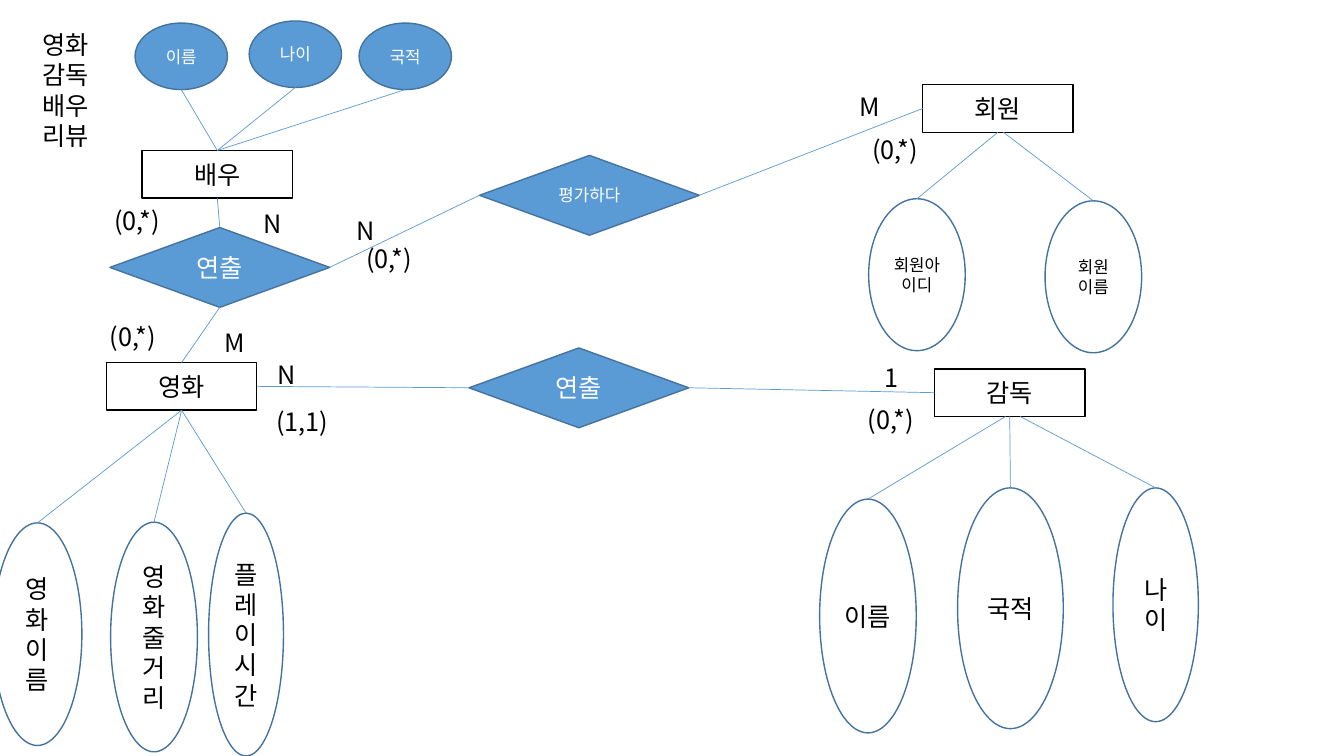
import pptx
import pptx.util
import pptx.dml.color
import pptx.enum.shapes
import pptx.enum.text
import lxml.etree

Pt = pptx.util.Pt
RGB = pptx.dml.color.RGBColor.from_string
Shape = pptx.enum.shapes.MSO_SHAPE
Align = pptx.enum.text.PP_ALIGN
Anchor = pptx.enum.text.MSO_ANCHOR

theme = {
    "font": "Noto Sans CJK KR", "large": 18, "small": 12, "leading": 1.2,
    "black": "000000", "white": "FFFFFF", "blue": "5B9BD5", "edge": "43739E",
}

deck = pptx.Presentation()
deck.slide_width, deck.slide_height = Pt(960), Pt(540)
slide = deck.slides.add_slide(deck.slide_layouts[6])
drawing = "{http://schemas.openxmlformats.org/drawingml/2006/main}"


def write(holder, lines, size, color, align):
    frame = holder.text_frame
    frame.word_wrap = True
    frame.text = "\n".join(lines)
    for paragraph in frame.paragraphs:
        paragraph.alignment = align
        paragraph.line_spacing = Pt(size * theme["leading"])
        run = paragraph.runs[0]
        formats = {"name": theme["font"], "size": Pt(size)}
        for key, value in formats.items():
            setattr(run.font, key, value)
        run.font.color.rgb = RGB(color)
        east_asian = lxml.etree.SubElement(run.font._element, drawing + "ea")
        east_asian.set("typeface", theme["font"])


def side_point(node, side):
    across, down = {"top": (0.5, 0), "bottom": (0.5, 1), "left": (0, 0.5), "right": (1, 0.5)}[side]
    return node.left + int(node.width * across), node.top + int(node.height * down)


styles = {
    "entity": (Shape.RECTANGLE, None, "black", "black"),
    "relation": (Shape.DIAMOND, "blue", "edge", "white"),
    "attribute": (Shape.OVAL, None, "edge", "black"),
    "filled attribute": (Shape.OVAL, "blue", "edge", "white"),
}
box, rhombus, actor_oval, member_oval = (107.5, 34), (157, 57), (66, 47.5), (69, 108.5)
nodes = {
    "movie": ("entity", "영화", "large", (76, 259), box),
    "movie name": ("attribute", "영화이름", "large", (-5, 373.5), (63.5, 159)),
    "movie plot": ("attribute", "영화줄거리", "large", (79, 373), (62, 164)),
    "movie length": ("attribute", "플레이시간", "large", (149, 366.5), (53.5, 173.5)),
    "director": ("entity", "감독", "large", (667.5, 263.5), box),
    "director name": ("attribute", "이름", "large", (585.5, 356.5), (69, 167)),
    "director nation": ("attribute", "국적", "large", (684, 348.5), (75.5, 172)),
    "director age": ("attribute", "나이", "large", (795, 348.5), (61, 167)),
    "directs": ("relation", "연출", "large", (335, 248.5), rhombus),
    "performs": ("relation", "연출", "large", (78.5, 162.5), rhombus),
    "actor": ("entity", "배우", "large", (101.5, 107.5), box),
    "actor name": ("filled attribute", "이름", "small", (96.5, 16.5), actor_oval),
    "actor nation": ("filled attribute", "국적", "small", (256.5, 16.5), actor_oval),
    "actor age": ("filled attribute", "나이", "small", (178, 15), actor_oval),
    "rates": ("relation", "평가하다", "small", (342.5, 111), rhombus),
    "member": ("entity", "회원", "large", (659, 60.5), box),
    "member id": ("attribute", "회원아이디", "small", (620.5, 142), member_oval),
    "member name": ("attribute", "회원 이름", "small", (746.5, 143.5), member_oval),
}
drawn = {}
for key, (style, wording, size, place, extent) in nodes.items():
    preset, fill, edge, ink = styles[style]
    node = slide.shapes.add_shape(preset, *map(Pt, place + extent))
    node.shadow.inherit = False
    if fill:
        node.fill.solid()
        node.fill.fore_color.rgb = RGB(theme[fill])
    else:
        node.fill.background()
    node.line.color.rgb = RGB(theme[edge])
    node.line.width = Pt(1)
    node.text_frame.vertical_anchor = Anchor.MIDDLE
    write(node, [wording], theme[size], theme[ink], Align.CENTER)
    drawn[key] = node

links = [
    ("movie", "bottom", "movie name", "top", 0),
    ("movie", "bottom", "movie plot", "top", 0),
    ("movie", "bottom", "movie length", "top", 0),
    ("director", "bottom", "director name", "top", -3),
    ("director", "bottom", "director nation", "top", 0),
    ("director", "bottom", "director age", "top", 7.5),
    ("movie", "right", "directs", "left", 0),
    ("director", "left", "directs", "right", 0),
    ("actor", "top", "actor name", "bottom", 0),
    ("actor", "top", "actor age", "bottom", 0),
    ("actor", "top", "actor nation", "bottom", 0),
    ("actor", "bottom", "performs", "top", 0),
    ("movie", "top", "performs", "bottom", 0),
    ("rates", "left", "performs", "right", 0),
    ("member", "left", "rates", "right", 0),
    ("member", "bottom", "member id", "top", 0),
    ("member", "bottom", "member name", "top", 4),
]
for owner, owner_side, partner, partner_side, shift in links:
    x, y = side_point(drawn[owner], owner_side)
    link = slide.shapes.add_connector(
        pptx.enum.shapes.MSO_CONNECTOR.STRAIGHT,
        x + Pt(shift), y, *side_point(drawn[partner], partner_side))
    link.line.color.rgb = RGB(theme["blue"])
    link.line.width = Pt(0.5)
    lxml.etree.SubElement(link._element.spPr, drawing + "effectLst")

labels = [
    (["영화", "감독", "배우", "리뷰"], 30.5, 21, 218, 87),
    (["1"], 632, 259, 24.5, 14),
    (["(1,1)"], 197.5, 290, 38.5, 14),
    (["(0,*)"], 620, 288.5, 38.5, 14),
    (["(0,*)"], 78.5, 229.5, 38.5, 21.5),
    (["(0,*)"], 81.5, 147, 38.5, 21.5),
    (["N"], 188.5, 149, 24.5, 14),
    (["M"], 160.5, 233.5, 24.5, 21.5),
    (["N"], 255, 153.5, 24.5, 14),
    (["(0,*)"], 623, 96, 38.5, 14),
    (["N"], 198, 256.5, 24.5, 14),
    (["M"], 614, 65, 24.5, 21.5),
    (["(0,*)"], 261.5, 174, 38.5, 21.5),
]
for lines, *area in labels:
    label = slide.shapes.add_textbox(*map(Pt, area))
    for margin in ("margin_left", "margin_top", "margin_right", "margin_bottom"):
        setattr(label.text_frame, margin, 0)
    write(label, lines, theme["large"], theme["black"], Align.LEFT)

deck.save("out.pptx")
